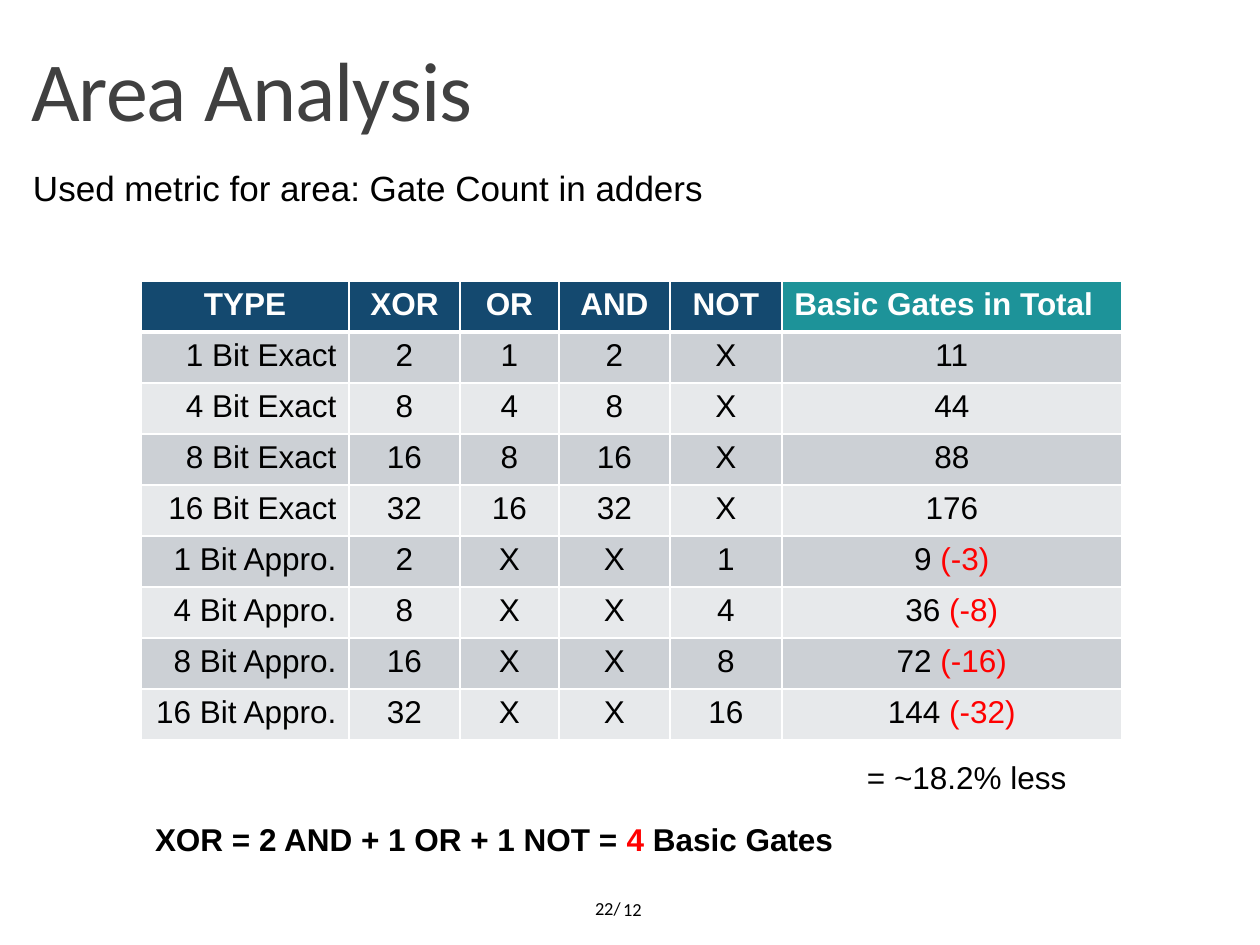
"""Build the area analysis slide with its gate count table."""
from dataclasses import dataclass

from lxml import etree
from pptx import Presentation
from pptx.dml.color import RGBColor
from pptx.enum.text import MSO_ANCHOR, MSO_AUTO_SIZE, PP_ALIGN
from pptx.oxml.ns import qn
from pptx.util import Emu, Pt

LEFT, CENTER, RIGHT = PP_ALIGN.LEFT, PP_ALIGN.CENTER, PP_ALIGN.RIGHT
TOP, MIDDLE, BOTTOM = MSO_ANCHOR.TOP, MSO_ANCHOR.MIDDLE, MSO_ANCHOR.BOTTOM
GROW, FIXED = MSO_AUTO_SIZE.SHAPE_TO_FIT_TEXT, MSO_AUTO_SIZE.NONE

BLACK = RGBColor(0x00, 0x00, 0x00)
WHITE = RGBColor(0xFF, 0xFF, 0xFF)
RED = RGBColor(0xFF, 0x00, 0x00)
TITLE_GRAY = RGBColor(0x40, 0x40, 0x40)
NAVY = RGBColor(0x14, 0x49, 0x6F)
TEAL = RGBColor(0x1D, 0x93, 0x99)
DARK_BAND = RGBColor(0xCC, 0xD0, 0xD5)
LIGHT_BAND = RGBColor(0xE7, 0xE9, 0xEB)

EMU_PER_PX = 914400 / 126
PAGE_WIDTH, PAGE_HEIGHT = 1260, 945
TABLE_LEFT, TABLE_TOP, ROW_HEIGHT = 141, 281, 51
COLUMN_WIDTHS = (208, 111, 99, 111, 112, 340)
HEADERS = ("TYPE", "XOR", "OR", "AND", "NOT", "Basic Gates in Total")


@dataclass(frozen=True)
class Span:
    text: str
    color: RGBColor = BLACK


@dataclass(frozen=True)
class Box:
    left: int
    top: int
    width: int
    height: int


@dataclass(frozen=True)
class Adder:
    name: str
    xor: str
    or_gates: str
    and_gates: str
    not_gates: str
    total: str
    saving: str = ""


ADDERS = (
    Adder("1 Bit Exact", "2", "1", "2", "X", "11"),
    Adder("4 Bit Exact", "8", "4", "8", "X", "44"),
    Adder("8 Bit Exact", "16", "8", "16", "X", "88"),
    Adder("16 Bit Exact", "32", "16", "32", "X", "176"),
    Adder("1 Bit Appro.", "2", "X", "X", "1", "9 ", "(-3)"),
    Adder("4 Bit Appro.", "8", "X", "X", "4", "36 ", "(-8)"),
    Adder("8 Bit Appro.", "16", "X", "X", "8", "72 ", "(-16)"),
    Adder("16 Bit Appro.", "32", "X", "X", "16", "144 ", "(-32)"),
)


def px(length: int) -> Emu:
    return Emu(round(length * EMU_PER_PX))


def write(para, *spans: Span, size: float = 18, font: str = "Arial",
          bold: bool = False, align=LEFT, tracking: int = 0) -> None:
    para.alignment = align
    for span in spans:
        run = para.add_run()
        run.text = span.text
        run.font.size = Pt(size)
        run.font.name = font
        run.font.bold = bold
        run.font.color.rgb = span.color
        if tracking:
            run.font._element.set("spc", str(tracking))


def add_text(page, box: Box, *spans: Span, anchor=TOP, auto_size=FIXED,
             inset_left: int = 13, inset_top: int = 6,
             line_spacing: float = 1.0, **text_format) -> None:
    shape = page.shapes.add_textbox(
        px(box.left), px(box.top), px(box.width), px(box.height))
    frame = shape.text_frame
    frame.word_wrap = True
    frame.auto_size = auto_size
    frame.vertical_anchor = anchor
    frame.margin_left, frame.margin_top = px(inset_left), px(inset_top)
    para = frame.paragraphs[0]
    para.line_spacing = line_spacing
    write(para, *spans, **text_format)


def add_borders(cell, top: int, bottom: int) -> None:
    properties = cell._tc.get_or_add_tcPr()
    for side, points in (("L", 1), ("R", 1), ("T", top), ("B", bottom)):
        line = etree.SubElement(properties, qn(f"a:ln{side}"), w=str(Pt(points)))
        fill = etree.SubElement(line, qn("a:solidFill"))
        etree.SubElement(fill, qn("a:srgbClr"), val=str(WHITE))


def fill_cell(cell, *spans: Span, fill: RGBColor, top: int = 1,
              bottom: int = 1, **text_format) -> None:
    add_borders(cell, top, bottom)
    cell.fill.solid()
    cell.fill.fore_color.rgb = fill
    write(cell.text_frame.paragraphs[0], *spans, **text_format)


def add_gate_table(page) -> None:
    row_count = len(ADDERS) + 1
    table = page.shapes.add_table(
        row_count, len(HEADERS), px(TABLE_LEFT), px(TABLE_TOP),
        px(sum(COLUMN_WIDTHS)), px(ROW_HEIGHT * row_count)).table
    for column, width in zip(table.columns, COLUMN_WIDTHS):
        column.width = px(width)
    for row in table.rows:
        row.height = px(ROW_HEIGHT)
    last = len(HEADERS) - 1
    for index, header in enumerate(HEADERS):
        fill_cell(table.cell(0, index), Span(header, WHITE), bold=True, bottom=3,
                  fill=TEAL if index == last else NAVY,
                  align=LEFT if index == last else CENTER)
    for number, adder in enumerate(ADDERS, 1):
        band = DARK_BAND if number % 2 else LIGHT_BAND
        total = [Span(adder.total)]
        if adder.saving:
            total.append(Span(adder.saving, RED))
        counts = (adder.xor, adder.or_gates, adder.and_gates, adder.not_gates)
        columns = [[Span(text)] for text in (adder.name, *counts)] + [total]
        for index, spans in enumerate(columns):
            fill_cell(table.cell(number, index), *spans, fill=band,
                      top=3 if number == 1 else 1,
                      align=CENTER if index else RIGHT)


def main() -> None:
    deck = Presentation()
    deck.slide_width, deck.slide_height = px(PAGE_WIDTH), px(PAGE_HEIGHT)
    page = deck.slides.add_slide(deck.slide_layouts[6])
    footer = dict(anchor=MIDDLE, size=10.5, font="Calibri", align=RIGHT)
    add_text(page, Box(605, 885, 49, 49), Span("12"), **footer)
    add_text(page, Box(18, 14, 1217, 131), Span("Area Analysis", TITLE_GRAY),
             anchor=BOTTOM, line_spacing=0.85, size=48, font="Calibri",
             tracking=-50)
    add_text(page, Box(18, 157, 1217, 707),
             Span("Used metric for area: Gate Count in adders"),
             inset_left=15, inset_top=10, size=20)
    add_text(page, Box(552, 883, 81, 50), Span("22/"), **footer)
    add_gate_table(page)
    add_text(page, Box(142, 814, 712, 50),
             Span("XOR = 2 AND + 1 OR + 1 NOT = "), Span("4", RED),
             Span(" Basic Gates"), auto_size=GROW, bold=True)
    add_text(page, Box(854, 752, 242, 50), Span("= ~18.2% less"), auto_size=GROW)
    deck.save("out.pptx")


if __name__ == "__main__":
    main()
